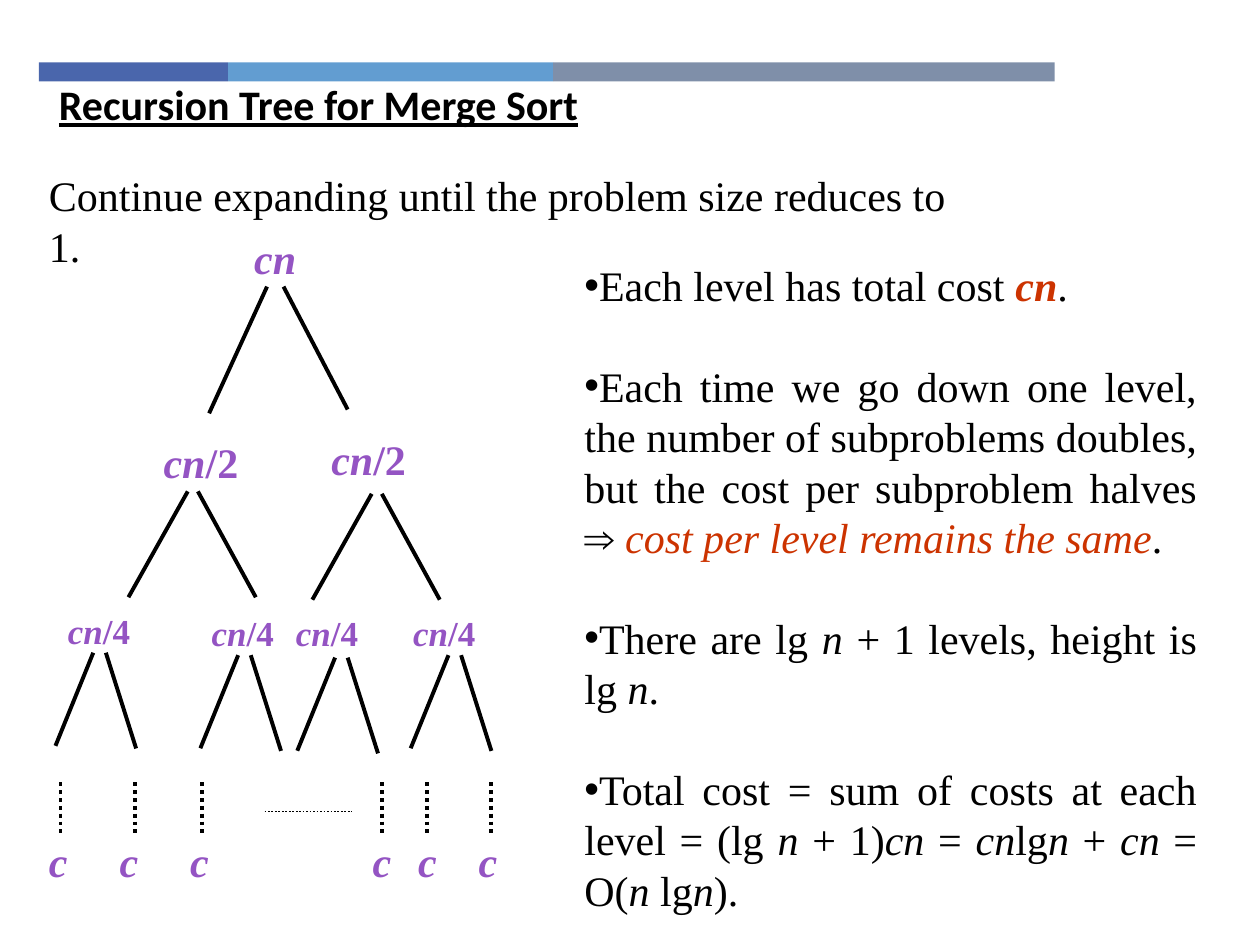
from lxml.etree import SubElement
from pptx import Presentation
from pptx.dml.color import RGBColor
from pptx.enum.dml import MSO_LINE
from pptx.enum.shapes import MSO_CONNECTOR as CONNECTOR, MSO_SHAPE as SHAPE
from pptx.enum.text import PP_ALIGN as ALIGN
from pptx.oxml.ns import qn
from pptx.util import Pt

COLORS = {
    "black": "000000",
    "node": "9454C3",
    "accent": "CC3300",
    "bar_dark": "4A66AC",
    "bar_light": "629DD1",
    "bar_gray": "7F8FA9",
}
SERIF = "Times New Roman"

# Each run is (text, style): i = italic, b = bold, r = accent red.
POINTS = [
    [("Each level has total cost ", ""), ("cn", "bir"), (".", "")],
    [("Each time we go down one level, the number of subproblems doubles, "
      "but the cost per subproblem halves ⇒ ", ""),
     ("cost per level remains the same", "ir"), (".", "")],
    [("There are lg ", ""), ("n", "i"), (" + 1 levels, height is lg ", ""),
     ("n", "i"), (".", "")],
    [("Total cost = sum of costs at each level = (lg ", ""), ("n", "i"),
     (" + 1)", ""), ("cn", "i"), (" = ", ""), ("cn", "i"), ("lg", ""),
     ("n", "i"), (" + ", ""), ("cn", "i"), (" = O(", ""), ("n ", "i"),
     ("lg", ""), ("n", "i"), (").", "")],
]


def rgb(name):
    return RGBColor.from_string(COLORS[name])


def add_bar(slide, left, width, color):
    bar = slide.shapes.add_shape(SHAPE.RECTANGLE, Pt(left), Pt(35.7), Pt(width), Pt(10.8))
    bar.shadow.inherit = False
    bar.fill.solid()
    bar.fill.fore_color.rgb = rgb(color)
    bar.line.fill.background()


def add_text_frame(slide, left, top, width, height, wrap=True):
    box = slide.shapes.add_textbox(Pt(left), Pt(top), Pt(width), Pt(height))
    box.text_frame.word_wrap = wrap
    return box.text_frame


def add_run(paragraph, text, size=24, color="black", style="", name=SERIF):
    run = paragraph.add_run()
    run.text = text
    font = run.font
    font.name, font.size = name, Pt(size)
    font.bold, font.italic = "b" in style, "i" in style
    font.color.rgb = rgb("accent" if "r" in style else color)
    return run


def add_title(slide):
    frame = add_text_frame(slide, 26.6, 41.4, 692.6, 53.3)
    run = add_run(frame.paragraphs[0], "Recursion Tree for Merge Sort",
                  style="b", name="Calibri")
    run.font.underline = True


def add_intro(slide):
    frame = add_text_frame(slide, 20.9, 93.6, 550, 36)
    frame.margin_right = Pt(16)
    paragraph = frame.paragraphs[0]
    paragraph.line_spacing = Pt(28.8)
    add_run(paragraph, "Continue expanding until the problem size reduces to 1.")


def add_node(slide, left, top, width, symbol, divisor="", size=24):
    """Tree label: italic symbol followed by an upright divisor."""
    frame = add_text_frame(slide, left, top, width, size * 1.2 + 7.2, wrap=False)
    frame.margin_right = 0
    paragraph = frame.paragraphs[0]
    paragraph.line_spacing = Pt(size * 1.2)
    add_run(paragraph, symbol, size, "node", "bi")
    if divisor:
        add_run(paragraph, divisor, size, "node", "b")


def add_line(slide, x1, y1, x2, y2, width=2.25, dotted=False):
    line = slide.shapes.add_connector(CONNECTOR.STRAIGHT, Pt(x1), Pt(y1), Pt(x2), Pt(y2))
    line.line.color.rgb = rgb("black")
    line.line.width = Pt(width)
    if dotted:
        line.line.dash_style = MSO_LINE.ROUND_DOT
    SubElement(line._element.spPr, qn("a:effectLst"))


def add_branches(slide, x, y, gap, left_run, right_run, left_drop, right_drop):
    """Two lines spreading down from a node, starting gap apart."""
    add_line(slide, x, y, x - left_run, y + left_drop)
    add_line(slide, x + gap, y, x + gap + right_run, y + right_drop)


def add_tree(slide):
    add_node(slide, 138.2, 129.6, 38.2, "cn")
    add_branches(slide, 152.6, 163.8, 9.4, 33.1, 36.7, 72.4, 70.2)

    for left, top in ((86.4, 246.2), (182.2, 244.1)):
        add_node(slide, left, top, 56.9, "cn", "/2")
    for x, y in ((107.3, 280.8), (212.4, 282.2)):
        add_branches(slide, x, y, 5.8, 33.9, 33.1, 60.5, 60.5)

    for left, top in ((31.7, 344.9), (113.8, 345.6), (162, 345.6), (229, 345.6)):
        add_node(slide, left, top, 49.7, "cn", "/4", 20)
    for x, y in ((53.3, 373), (136.1, 374.4), (191.5, 375.8), (256.3, 374.4)):
        add_branches(slide, x, y, 7.2, 21.6, 17.3, 53.2, 54.7)

    for x in (34.6, 77, 115.2, 218.2, 244.1, 280.8):
        add_line(slide, x, 447.1, x, 478.1, dotted=True)
    add_line(slide, 151.2, 463.7, 200.9, 463.7, width=1, dotted=True)
    for left in (20.9, 61.2, 101.5, 205.9, 231.8, 266.4):
        add_node(slide, left, 473.8, 25.2, "c")


def add_points(slide):
    frame = add_text_frame(slide, 326.9, 144.7, 364.3, 385.2)
    for index, runs in enumerate(POINTS):
        paragraph = frame.add_paragraph() if index else frame.paragraphs[0]
        paragraph.alignment = ALIGN.JUSTIFY
        paragraph.line_spacing = Pt(28.8)
        paragraph.space_before = Pt(28.8 if index else 0)
        properties = paragraph._p.get_or_add_pPr()
        properties.set("marL", "0")
        properties.set("indent", "0")
        SubElement(properties, qn("a:buFont"), typeface="Arial")
        SubElement(properties, qn("a:buChar"), char="•")
        for text, style in runs:
            add_run(paragraph, text, style=style)


def main():
    presentation = Presentation()
    presentation.slide_width, presentation.slide_height = Pt(720), Pt(540)
    slide = presentation.slides.add_slide(presentation.slide_layouts[6])
    for left, width, color in ((22.3, 108, "bar_dark"), (130.3, 185.8, "bar_light"),
                               (316.1, 286.6, "bar_gray")):
        add_bar(slide, left, width, color)
    add_intro(slide)
    add_tree(slide)
    add_points(slide)
    add_title(slide)
    presentation.save("out.pptx")


if __name__ == "__main__":
    main()
